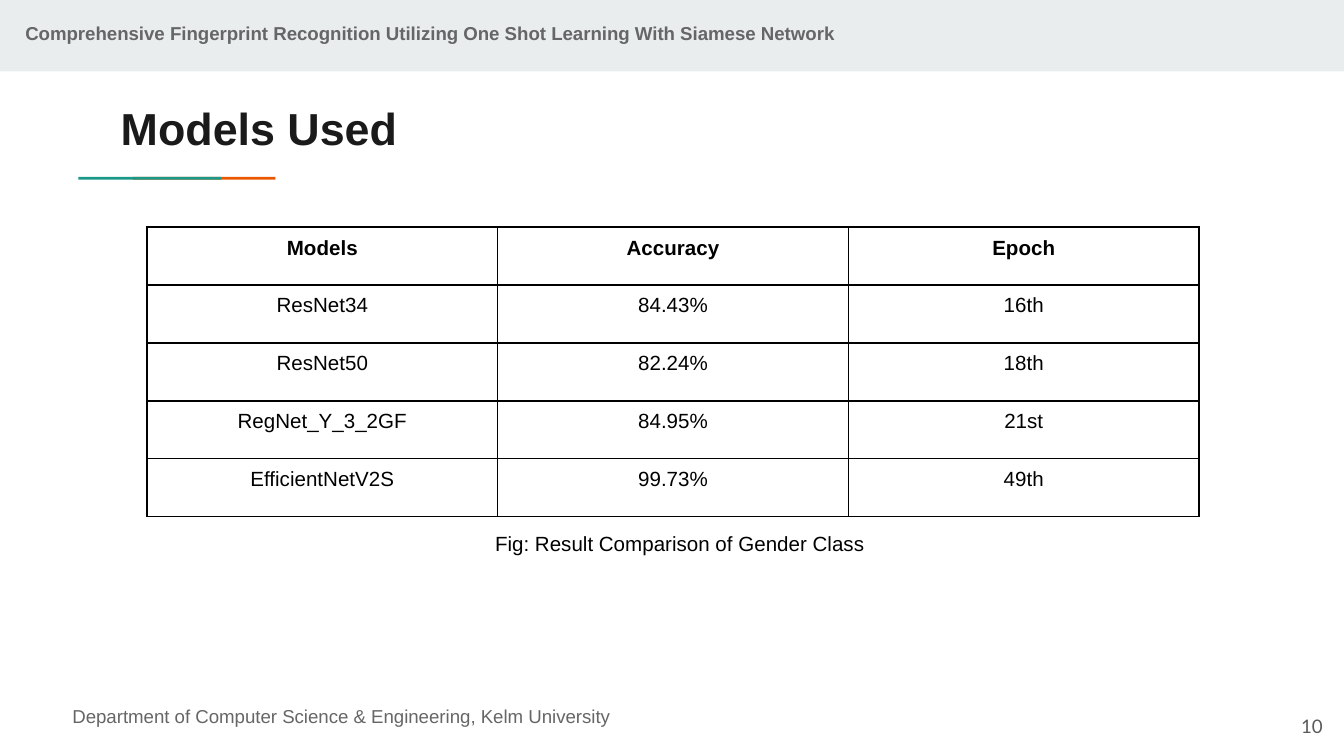
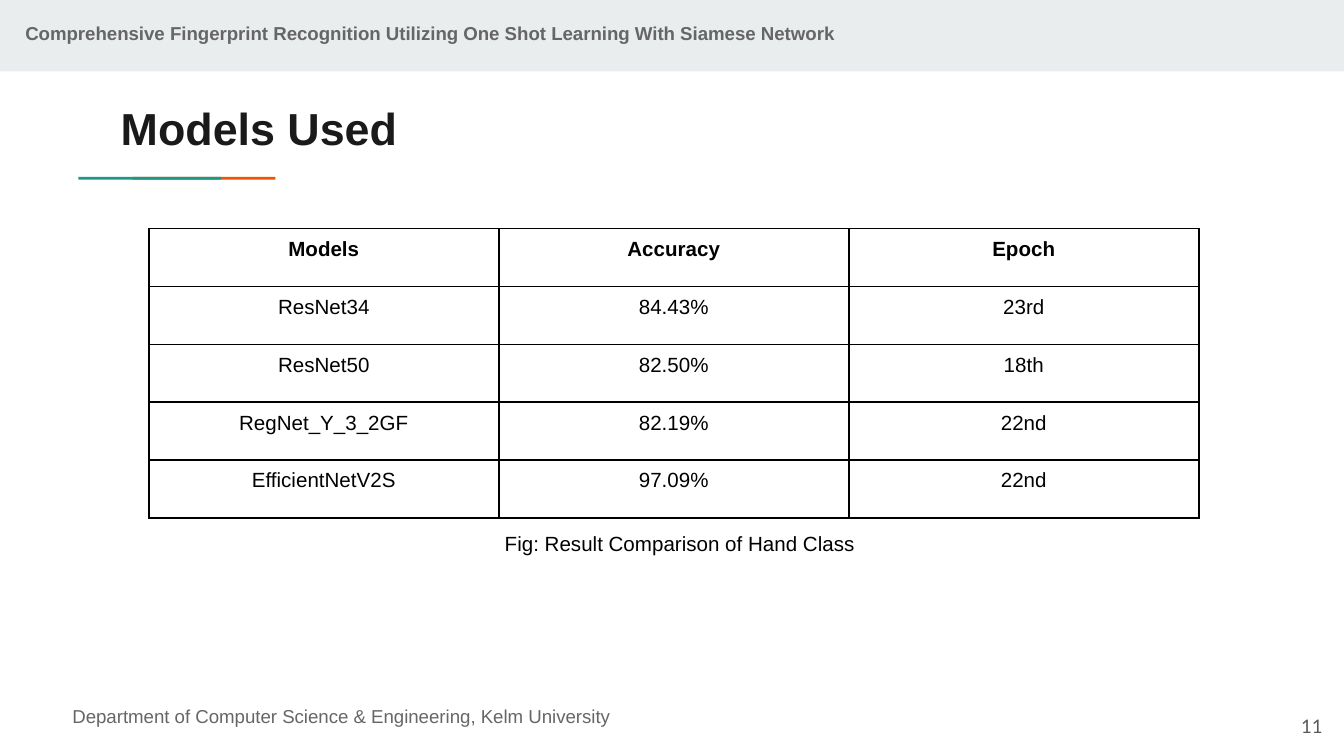
import dataclasses
import typing

import lxml.etree
import pptx
import pptx.dml.color
import pptx.enum.shapes
import pptx.enum.text
import pptx.oxml.ns
import pptx.util

Pt = pptx.util.Pt
Align = pptx.enum.text.PP_ALIGN
Anchor = pptx.enum.text.MSO_ANCHOR

HUES = {
    "band": "E9EDEE",
    "teal": "1A9988",
    "orange": "EB5600",
    "title": "1A1A1A",
    "muted": "666666",
    "number": "595959",
    "ink": "000000",
}


@dataclasses.dataclass(frozen=True)
class Bar:
    left: float
    top: float
    width: float
    height: float
    hue: str


@dataclasses.dataclass(frozen=True)
class Label:
    left: float
    top: float
    width: float
    height: float
    size: float
    hue: str
    bold: bool = False
    font: str = "Arial"
    align: Align = Align.LEFT
    anchor: Anchor = Anchor.TOP
    indent: float = 0


@dataclasses.dataclass(frozen=True)
class Page:
    number: int
    left: float
    top: float
    column: float
    caption: str
    scores: tuple[tuple[str, str], ...]


BARS = (
    Bar(0, 0, 720, 38.25, "band"),
    Bar(71, 94.75, 76.5, 1.5, "orange"),
    Bar(42, 94.75, 76.5, 1.5, "teal"),
)
TITLE = Label(57.6, 46.8, 605.5, 42.5, 24, "title", bold=True)
FOOTER = Label(31.7, 371.5, 677.5, 26.6, 10, "muted")
NUMBER = Label(672.5, 373.7, 43.2, 31, 10, "number", font="Lato",
               align=Align.RIGHT, anchor=Anchor.MIDDLE)
HEADER = Label(6.5, 5.8, 677.5, 38.9, 10, "muted", bold=True)
CAPTION = Label(157, 251.5, 317.5, 79, 11, "ink", align=Align.CENTER,
                anchor=Anchor.MIDDLE, indent=97)

HEADS = ("Models", "Accuracy", "Epoch")
MODELS = ("ResNet34", "ResNet50", "RegNet_Y_3_2GF", "EfficientNetV2S")
ROW = 31
PAGES = (
    Page(10, 78.75, 121.75, 187.9, "Fig: Result Comparison of Gender Class",
         (("84.43%", "16th"), ("82.24%", "18th"),
          ("84.95%", "21st"), ("99.73%", "49th"))),
    Page(11, 79.75, 122.5, 187.5, "Fig: Result Comparison of Hand Class",
         (("84.43%", "23rd"), ("82.50%", "18th"),
          ("82.19%", "22nd"), ("97.09%", "22nd"))),
)


def apply(target: typing.Any, format: dict[str, typing.Any]) -> None:
    for name, value in format.items():
        setattr(target, name, value)


def color(hue: str) -> pptx.dml.color.RGBColor:
    return pptx.dml.color.RGBColor.from_string(HUES[hue])


def pad(gap: float) -> dict[str, typing.Any]:
    sides = ("left", "right", "top", "bottom")
    return {f"margin_{side}": Pt(gap) for side in sides}


def write(para: typing.Any, text: str, size: float, hue: str,
          bold: bool, font: str, align: Align) -> None:
    para.alignment = align
    run = para.add_run()
    run.text = text
    apply(run.font, {"name": font, "size": Pt(size), "bold": bold})
    run.font.color.rgb = color(hue)


def draw_bar(slide: typing.Any, bar: Bar) -> None:
    shape = slide.shapes.add_shape(
        pptx.enum.shapes.MSO_SHAPE.RECTANGLE,
        Pt(bar.left), Pt(bar.top), Pt(bar.width), Pt(bar.height))
    shape.shadow.inherit = False
    shape.fill.solid()
    shape.fill.fore_color.rgb = color(bar.hue)
    shape.line.fill.background()


def draw_label(slide: typing.Any, label: Label, text: str) -> None:
    box = slide.shapes.add_textbox(
        Pt(label.left), Pt(label.top), Pt(label.width), Pt(label.height))
    frame = box.text_frame
    apply(frame, {"word_wrap": True, "vertical_anchor": label.anchor} | pad(7.2))
    para = frame.paragraphs[0]
    if label.indent:
        para._p.get_or_add_pPr().set("marL", str(Pt(label.indent)))
    write(para, text, label.size, label.hue, label.bold, label.font, label.align)


def add_edges(cell: typing.Any) -> None:
    props = cell._tc.get_or_add_tcPr()
    name = pptx.oxml.ns.qn
    for side in ("a:lnL", "a:lnR", "a:lnT", "a:lnB"):
        edge = lxml.etree.SubElement(props, name(side), w=str(Pt(1)))
        fill = lxml.etree.SubElement(edge, name("a:solidFill"))
        lxml.etree.SubElement(fill, name("a:srgbClr"), val=HUES["ink"])


def draw_table(slide: typing.Any, page: Page) -> None:
    rows = [HEADS] + [(model, *score) for model, score in zip(MODELS, page.scores)]
    table = slide.shapes.add_table(
        len(rows), len(HEADS), Pt(page.left), Pt(page.top),
        Pt(page.column * len(HEADS)), Pt(ROW * len(rows))).table
    apply(table, {"first_row": False, "horz_banding": False})
    for column in table.columns:
        column.width = Pt(page.column)
    for r, row in enumerate(rows):
        table.rows[r].height = Pt(ROW)
        for c, text in enumerate(row):
            cell = table.cell(r, c)
            apply(cell, pad(5))
            add_edges(cell)
            cell.fill.background()
            write(cell.text_frame.paragraphs[0], text, 11, "ink",
                  r == 0, "Arial", Align.CENTER)


def draw_page(slide: typing.Any, page: Page) -> None:
    for bar in BARS:
        draw_bar(slide, bar)
    draw_label(slide, TITLE, "Models Used")
    draw_label(slide, FOOTER,
               "Department of Computer Science & Engineering, Kelm University")
    draw_label(slide, NUMBER, str(page.number))
    draw_label(slide, HEADER,
               "Comprehensive Fingerprint Recognition Utilizing "
               "One Shot Learning With Siamese Network")
    draw_table(slide, page)
    draw_label(slide, CAPTION, page.caption)


def main() -> None:
    deck = pptx.Presentation()
    apply(deck, {"slide_width": Pt(720), "slide_height": Pt(405)})
    for page in PAGES:
        draw_page(deck.slides.add_slide(deck.slide_layouts[6]), page)
    deck.save("out.pptx")


if __name__ == "__main__":
    main()
